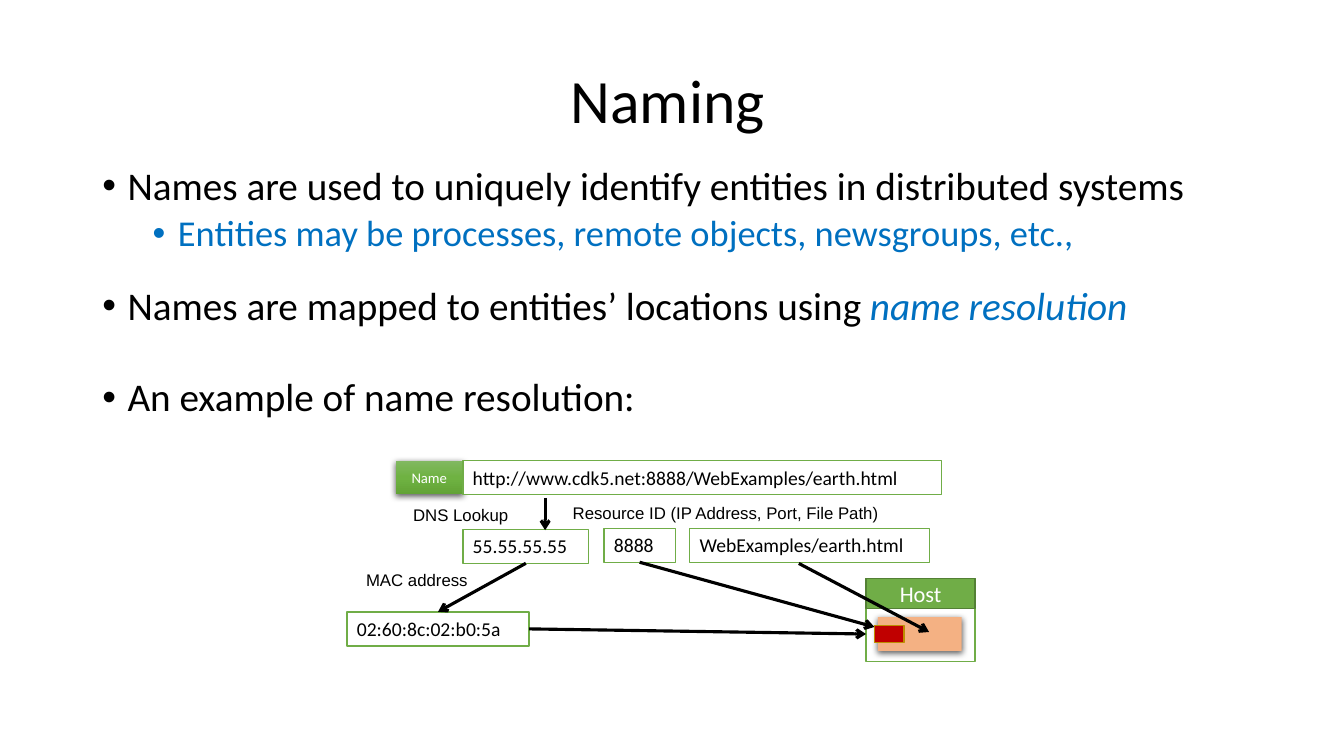
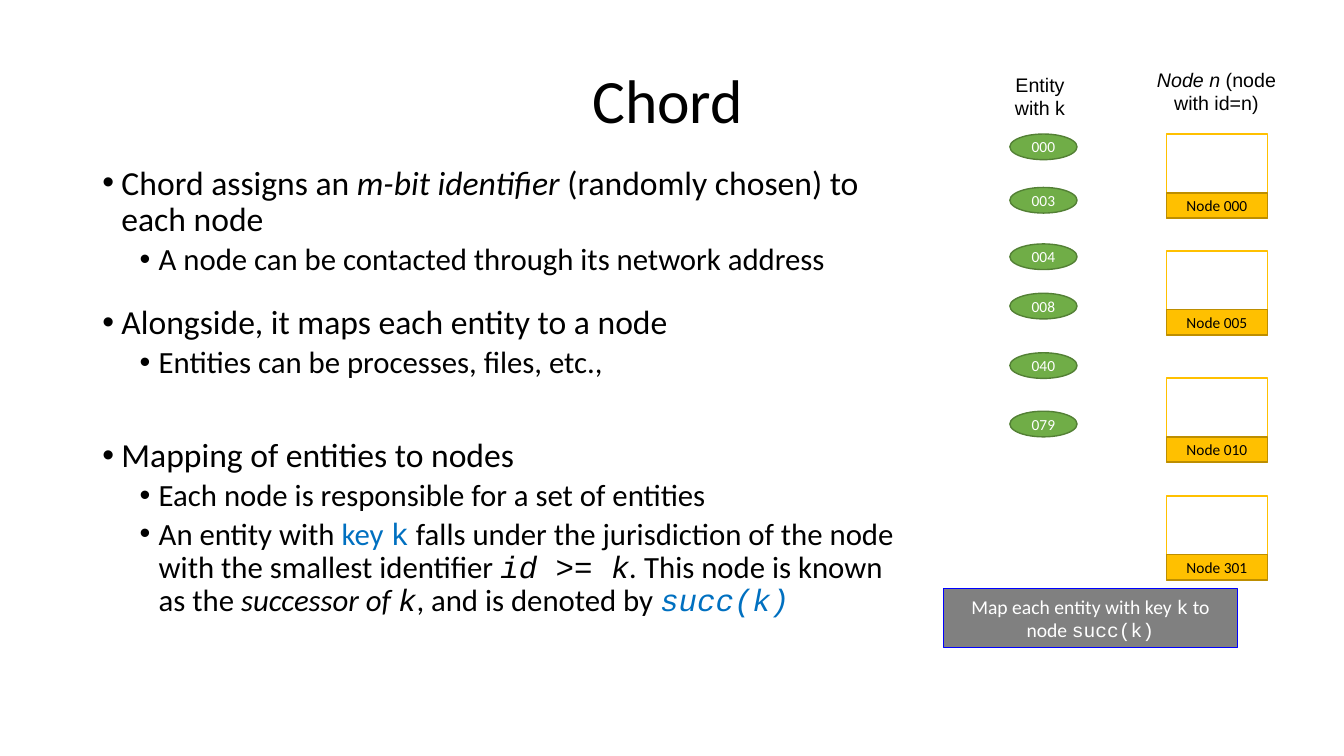
import copy
from dataclasses import dataclass

import pptx
import pptx.dml.color
import pptx.enum.shapes
import pptx.enum.text
import pptx.oxml
import pptx.oxml.ns
import pptx.util

RGBColor = pptx.dml.color.RGBColor
BLACK = RGBColor(0x00, 0x00, 0x00)
WHITE = RGBColor(0xFF, 0xFF, 0xFF)
BLUE = RGBColor(0x00, 0x70, 0xC0)
GREEN = RGBColor(0x70, 0xAD, 0x47)
DARK_GREEN = RGBColor(0x53, 0x80, 0x35)
GREEN_GRADIENT = (
    RGBColor(0x81, 0xB8, 0x61),
    RGBColor(0x6F, 0xB2, 0x42),
    RGBColor(0x62, 0xA3, 0x36),
)
GOLD = RGBColor(0xFF, 0xC0, 0x00)
DARK_GOLD = RGBColor(0xBD, 0x8E, 0x00)
PEACH = RGBColor(0xF4, 0xB1, 0x83)
RED = RGBColor(0xC0, 0x00, 0x00)
GRAY = RGBColor(0x80, 0x80, 0x80)
BORDER_BLUE = RGBColor(0x00, 0x00, 0xFF)

BODY_FONT = "Calibri"
LABEL_FONT = "Arial"
CODE_FONT = "Courier New"

SLIDE_WIDTH = pptx.util.Inches(13.33)
SLIDE_HEIGHT = pptx.util.Inches(7.5)
COLUMNS, ROWS = 160, 90
COLUMN = SLIDE_WIDTH / COLUMNS
ROW = SLIDE_HEIGHT / ROWS
BOX_ROWS = 4.06
LABEL_ROWS = 3.6

RECTANGLE = pptx.enum.shapes.MSO_SHAPE.RECTANGLE
OVAL = pptx.enum.shapes.MSO_SHAPE.OVAL
STRAIGHT = pptx.enum.shapes.MSO_CONNECTOR.STRAIGHT
LEFT = pptx.enum.text.PP_ALIGN.LEFT
CENTER = pptx.enum.text.PP_ALIGN.CENTER
TOP = pptx.enum.text.MSO_ANCHOR.TOP
MIDDLE = pptx.enum.text.MSO_ANCHOR.MIDDLE
BOTTOM_SIDE, TOP_SIDE = 2, 0


@dataclass
class Box:
    left: float
    top: float
    columns: float
    rows: float

    def area(self, left, top, columns, rows):
        return Box(self.left + left, self.top + top, columns, rows)

    def point(self, left, top):
        return round((self.left + left) * COLUMN), round((self.top + top) * ROW)

    def frame(self):
        return *self.point(0, 0), round(self.columns * COLUMN), round(self.rows * ROW)


@dataclass
class Text:
    text: str
    color: RGBColor = None
    font: str = None
    italic: bool = False


@dataclass
class Bullet:
    runs: list
    level: int = 0
    space: float = None


@dataclass
class BulletStyle:
    sizes: tuple
    margins: tuple
    hang: float
    spaces: tuple


TITLE = Box(23, 3.6, 113, 17.4)
WIDE_BODY = Box(11, 19.2, 136, 59.4)
NARROW_BODY = Box(11, 19.2, 98.3, 59.4)
RESOLUTION = Box(41.3, 54.84, 74.8, 24)
RING = Box(112.32, 7.44, 41.5, 70)
LARGE_BULLETS = BulletStyle((28, 26), (0.25, 0.75), 0.25, (10, 5))
SMALL_BULLETS = BulletStyle((24, 22), (0.19, 0.56), 0.19, (7.5, 3.8))


def write(paragraph, runs, size, color=BLACK, font=BODY_FONT):
    for item in runs:
        run = paragraph.add_run()
        run.text = item.text
        run.font.size = pptx.util.Pt(size)
        run.font.name = item.font or font
        run.font.italic = item.italic
        run.font.color.rgb = item.color or color


def fill_text(shape, runs, size, color=BLACK, font=BODY_FONT, align=LEFT, anchor=TOP):
    frame = shape.text_frame
    frame.word_wrap = True
    frame.vertical_anchor = anchor
    paragraph = frame.paragraphs[0]
    paragraph.alignment = align
    write(paragraph, runs, size, color, font)
    return paragraph


def add_label(shapes, box, runs, size, font=LABEL_FONT, align=LEFT, anchor=TOP):
    return fill_text(shapes.add_textbox(*box.frame()), runs, size, BLACK, font, align, anchor)


def add_block(shapes, box, fill, line=None, kind=RECTANGLE):
    shape = shapes.add_shape(kind, *box.frame())
    shape.shadow.inherit = False
    shape.fill.solid()
    shape.fill.fore_color.rgb = fill
    if line is None:
        shape.line.fill.background()
    else:
        shape.line.color.rgb = line
        shape.line.width = pptx.util.Pt(1)
    return shape


def add_centered(shapes, box, runs, size, color, fill, line=None, kind=RECTANGLE):
    shape = add_block(shapes, box, fill, line, kind)
    fill_text(shape, runs, size, color, align=CENTER, anchor=MIDDLE)
    return shape


def add_value(shapes, box, text):
    shape = add_block(shapes, box, WHITE, GREEN)
    fill_text(shape, [Text(text)], 14)
    return shape


def add_shadow(shape):
    effects = shape.element.spPr.find(pptx.oxml.ns.qn("a:effectLst"))
    effects.append(pptx.oxml.parse_xml(
        f'<a:outerShdw {pptx.oxml.ns.nsdecls("a")} blurRad="57150" dist="19050" dir="5400000">'
        '<a:srgbClr val="000000"><a:alpha val="63000"/></a:srgbClr></a:outerShdw>'
    ))


def add_gradient(shape, colors):
    shape.fill.gradient()
    shape.fill.gradient_angle = 270
    stop_list = shape.element.spPr.find(".//" + pptx.oxml.ns.qn("a:gsLst"))
    while len(stop_list) < len(colors):
        stop_list.append(copy.deepcopy(stop_list[0]))
    for index, (stop, color) in enumerate(zip(shape.fill.gradient_stops, colors)):
        stop.color.rgb = color
        stop.position = index / (len(colors) - 1)


def add_arrow(shapes, start, end):
    arrow = shapes.add_connector(STRAIGHT, *start, *end)
    arrow.line.color.rgb = BLACK
    arrow.line.width = pptx.util.Pt(2.25)
    declaration = pptx.oxml.ns.nsdecls("a")
    properties = arrow.element.spPr
    line = properties.find(pptx.oxml.ns.qn("a:ln"))
    line.append(pptx.oxml.parse_xml(f'<a:tailEnd {declaration} type="arrow"/>'))
    properties.append(pptx.oxml.parse_xml(f"<a:effectLst {declaration}/>"))
    return arrow


def add_bullets(shapes, box, bullets, style):
    frame = shapes.add_textbox(*box.frame()).text_frame
    frame.word_wrap = True
    for index, bullet in enumerate(bullets):
        paragraph = frame.add_paragraph() if index else frame.paragraphs[0]
        paragraph.level = bullet.level
        paragraph.line_spacing = 0.9
        paragraph.space_before = pptx.util.Pt(bullet.space or style.spaces[bullet.level])
        properties = paragraph._p.get_or_add_pPr()
        properties.set("marL", str(pptx.util.Inches(style.margins[bullet.level])))
        properties.set("indent", str(-pptx.util.Inches(style.hang)))
        for tag in ('buFont {} typeface="Arial"', 'buChar {} char="•"'):
            element = tag.format(pptx.oxml.ns.nsdecls("a"))
            properties.append(pptx.oxml.parse_xml(f"<a:{element}/>"))
        write(paragraph, bullet.runs, style.sizes[bullet.level])


def add_slide(presentation, title):
    slide = presentation.slides.add_slide(presentation.slide_layouts[6])
    paragraph = add_label(slide.shapes, TITLE, [Text(title)], 44, BODY_FONT, CENTER, MIDDLE)
    paragraph.line_spacing = 0.9
    return slide.shapes


def add_host(shapes, box):
    group = shapes.add_group_shape().shapes
    add_block(group, box, WHITE, GREEN)
    header = box.area(0, 0, box.columns, 3.6)
    add_centered(group, header, [Text("Host")], 16, WHITE, GREEN, DARK_GREEN)
    add_shadow(add_block(shapes, box.area(1.4, 4.6, 10, 4), PEACH))
    add_block(shapes, box.area(1, 5.6, 3.5, 2), RED, DARK_GOLD)


def add_resolution(shapes, box):
    name = add_centered(shapes, box.area(5.8, 0, 8, 4), [Text("Name")], 10.5, WHITE, GREEN)
    add_gradient(name, GREEN_GRADIENT)
    add_shadow(name)
    add_value(shapes, box.area(13.8, 0, 57, BOX_ROWS),
              "http://www.cdk5.net:8888/WebExamples/earth.html")
    address = add_value(shapes, box.area(13.8, 8.16, 15, BOX_ROWS), "55.55.55.55")
    add_value(shapes, box.area(40.8, 8.04, 28.6, BOX_ROWS), "WebExamples/earth.html")
    port = add_value(shapes, box.area(30.6, 8.04, 8.5, BOX_ROWS), "8888")
    hardware = add_value(shapes, box.area(0, 18, 21.7, BOX_ROWS), "02:60:8c:02:b0:5a")
    for left, top, columns, text in (
        (6.7, 4.7, 14, "DNS Lookup"),
        (25.7, 4.44, 39.1, "Resource ID (IP Address, Port, File Path)"),
        (1.1, 12.36, 14.8, "MAC address"),
    ):
        add_label(shapes, box.area(left, top, columns, LABEL_ROWS), [Text(text)], 12)
    add_host(shapes, box.area(61.8, 14.04, 13, 9.84))
    add_arrow(shapes, box.point(23.6, 4.44), box.point(23.6, 8.28))
    lookup = add_arrow(shapes, box.point(21.3, 12.24), box.point(10.85, 18))
    lookup.begin_connect(address, BOTTOM_SIDE)
    lookup.end_connect(hardware, TOP_SIDE)
    to_host = add_arrow(shapes, box.point(21.7, 20.04), box.point(61.8, 20.64))
    to_host.begin_connect(hardware, 3)
    to_port = add_arrow(shapes, box.point(34.85, 12.1), box.point(62.8, 19.8))
    to_port.begin_connect(port, BOTTOM_SIDE)
    add_arrow(shapes, box.point(53.8, 12.24), box.point(69.3, 20.4))


def add_node(shapes, box, name):
    group = shapes.add_group_shape().shapes
    add_block(group, box, WHITE, GOLD)
    band = box.area(0, box.rows - 3, box.columns, 3)
    add_centered(group, band, [Text(name)], 11, BLACK, GOLD, DARK_GOLD)


def add_ring(shapes, box):
    add_label(shapes, box.area(6, 0.6, 11, 6.84), [Text("Entity with k")], 14, align=CENTER)
    add_label(shapes, box.area(23.5, 0, 18, 6.84),
              [Text("Node n", italic=True), Text(" (node with id=n)")], 14, align=CENTER)
    for top, number in ((8.52, "000"), (22.44, "005"), (37.56, "010"), (51.6, "301")):
        add_node(shapes, box.area(26.55, top, 12, 10), f"Node {number}")
    for top, key in ((8.52, "000"), (14.88, "003"), (21.6, "004"),
                     (27.48, "008"), (34.56, "040"), (41.52, "079")):
        add_centered(shapes, box.area(7.9, top, 8, 3.05), [Text(key)], 11,
                     WHITE, GREEN, DARK_GREEN, OVAL)
    caption = [Text("Map each entity with key "), Text("k", font=CODE_FONT),
               Text(" to node "), Text("succ(k)", font=CODE_FONT)]
    add_centered(shapes, box.area(0, 62.64, 35, 7), caption, 14, WHITE, GRAY, BORDER_BLUE)


def build_naming(presentation):
    shapes = add_slide(presentation, "Naming")
    add_bullets(shapes, WIDE_BODY, [
        Bullet([Text("Names are used to uniquely identify entities in distributed systems")]),
        Bullet([Text("Entities may be processes, remote objects, newsgroups, etc.,", BLUE)], 1),
        Bullet([Text("Names are mapped to entities’ locations using "),
                Text("name resolution", BLUE, italic=True)], space=22.5),
        Bullet([Text("An example of name resolution:")], space=35),
    ], LARGE_BULLETS)
    add_resolution(shapes, RESOLUTION)


def build_chord(presentation):
    shapes = add_slide(presentation, "Chord")
    add_bullets(shapes, NARROW_BODY, [
        Bullet([Text("Chord assigns an "), Text("m-bit identifier", italic=True),
                Text(" (randomly chosen) to each node")]),
        Bullet([Text("A node can be contacted through its network address")], 1),
        Bullet([Text("Alongside, it maps each entity to a node")], space=20),
        Bullet([Text("Entities can be processes, files, etc.,")], 1),
        Bullet([Text("Mapping of entities to nodes")], space=41.5),
        Bullet([Text("Each node is responsible for a set of entities")], 1),
        Bullet([
            Text("An entity with "), Text("key ", BLUE), Text("k", BLUE, CODE_FONT),
            Text(" falls under the jurisdiction of the node with the smallest identifier "),
            Text("id >= k", font=CODE_FONT, italic=True), Text(".", italic=True),
            Text(" This node is known as the "), Text("successor of ", italic=True),
            Text("k", font=CODE_FONT, italic=True), Text(", and is denoted by "),
            Text("succ(k)", BLUE, CODE_FONT, True),
        ], 1),
    ], SMALL_BULLETS)
    add_ring(shapes, RING)


def main():
    presentation = pptx.Presentation()
    presentation.slide_width = SLIDE_WIDTH
    presentation.slide_height = SLIDE_HEIGHT
    build_naming(presentation)
    build_chord(presentation)
    presentation.save("out.pptx")


if __name__ == "__main__":
    main()
